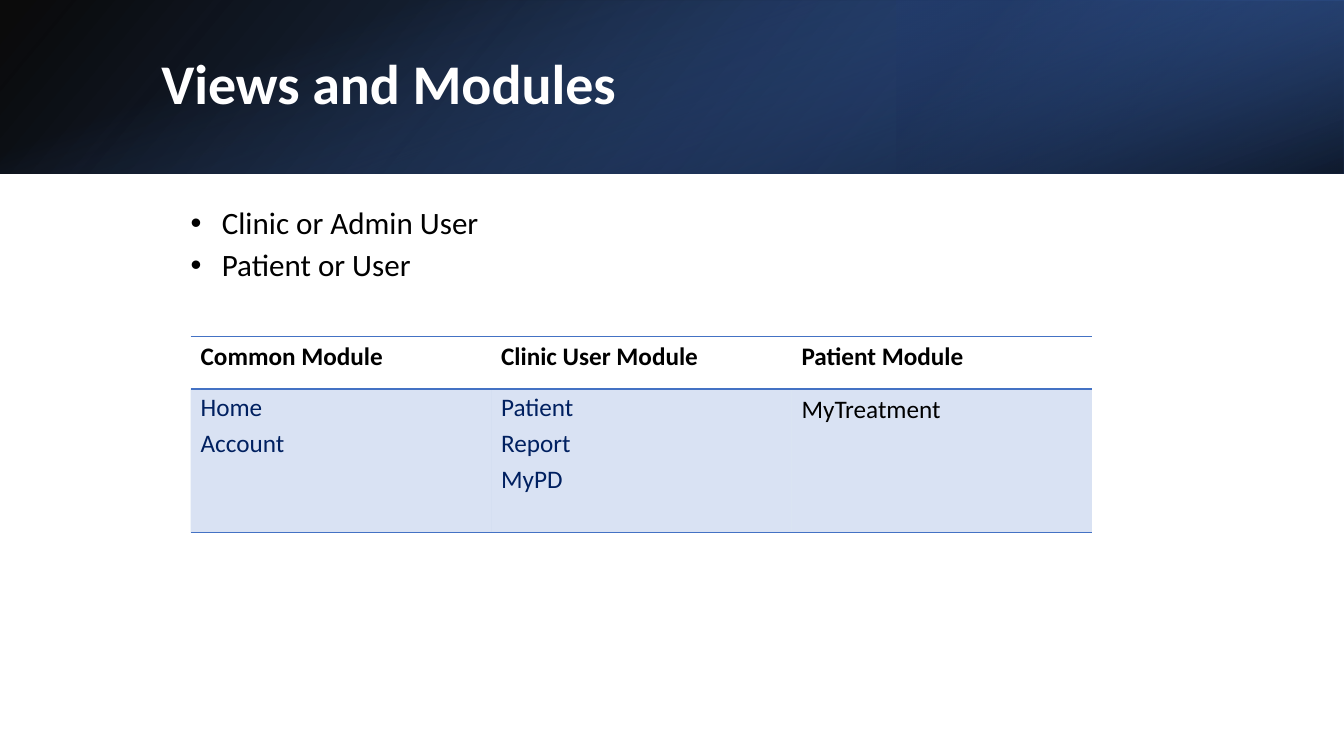
from dataclasses import dataclass
from typing import Any, NamedTuple

from pptx import Presentation
from pptx.dml.color import RGBColor as RGB
from pptx.enum.shapes import MSO_SHAPE as SHAPE
from pptx.enum.text import MSO_ANCHOR as ANCHOR, MSO_AUTO_SIZE as AUTO, PP_ALIGN as ALIGN
from pptx.oxml.ns import qn
from pptx.oxml.xmlchemy import OxmlElement
from pptx.util import Emu, Pt

PX = 9144
NO_STYLE = "{2D5ABB26-0587-4C30-8999-92F81FD0307C}"


@dataclass(frozen=True)
class Theme:
    font: str = "Calibri"
    white: str = "FFFFFF"
    black: str = "000000"
    navy: str = "002060"
    accent: str = "4472C4"
    mid_blue: str = "2F5597"
    deep_blue: str = "203864"
    title_size: float = 40
    list_size: float = 22.2
    table_size: float = 18
    rule: float = 1


T = Theme()


class Box(NamedTuple):
    left: int
    top: int
    width: int
    height: int


class Stop(NamedTuple):
    position: float
    color: str
    alpha: int


class Band(NamedTuple):
    box: Box
    stops: tuple[Stop, Stop]
    angle: int
    rotation: int = 0
    flip: bool = False


class Module(NamedTuple):
    heading: str
    views: list[str]
    color: str
    fmt: dict[str, Any]


SPACED = {"line_spacing": 0.9, "space_before": Pt(0), "space_after": Pt(6)}
PLAIN = {"line_spacing": 1.0, "space_after": Pt(0)}

BANDS = [
    Band(Box(0, 0, 1333, 172), (Stop(0, T.black, 96), Stop(1, T.mid_blue, 100)), 140, flip=True),
    Band(Box(889, 0, 444, 172), (Stop(0.19, T.deep_blue, 68), Stop(1, T.accent, 79)), 320, 180, True),
    Band(Box(580, -580, 172, 1333), (Stop(0.23, T.accent, 0), Stop(0.99, T.black, 74)), 340, 90),
]
MODULES = [
    Module("Common Module", ["Home", "Account"], T.navy, SPACED),
    Module("Clinic User Module", ["Patient", "Report", "MyPD"], T.navy, SPACED),
    Module("Patient Module", ["MyTreatment"], T.black, PLAIN),
]
ROW_HEIGHTS = [52, 142]
TABLE_BOX = Box(189, 334, 894, sum(ROW_HEIGHTS))


def px(n: int) -> Emu:
    return Emu(n * PX)


def apply(target: Any, fmt: dict[str, Any]) -> None:
    for name, value in fmt.items():
        setattr(target, name, value)


def set_alpha(color: Any, percent: int) -> None:
    alpha = OxmlElement("a:alpha")
    alpha.set("val", str(percent * 1000))
    color.append(alpha)


def write(tf: Any, lines: list[str], size: float, color: str, fmt: dict[str, Any], bold: bool = False) -> None:
    for i, line in enumerate(lines):
        p = tf.add_paragraph() if i else tf.paragraphs[0]
        apply(p, {"alignment": ALIGN.LEFT, **fmt})
        r = p.add_run()
        r.text = line
        apply(r.font, {"name": T.font, "size": Pt(size), "bold": bold})
        r.font.color.rgb = RGB.from_string(color)


def place(sp: Any, box: Box, anchor: Any) -> Any:
    apply(sp, {name: px(n) for name, n in box._asdict().items()})
    tf = sp.text_frame
    apply(tf, {"word_wrap": True, "auto_size": AUTO.NONE, "vertical_anchor": anchor})
    return tf


def add_band(s: Any, band: Band, depth: int) -> None:
    sp = s.shapes.add_shape(SHAPE.RECTANGLE, *map(px, band.box))
    sp.shadow.inherit = False
    sp.line.fill.background()
    sp.rotation = band.rotation
    if band.flip:
        sp.element.find(".//" + qn("a:xfrm")).set("flipH", "1")
    sp.fill.gradient()
    sp.fill.gradient_angle = 360 - band.angle
    for target, stop in zip(sp.fill.gradient_stops, band.stops):
        target.position = stop.position
        target.color.rgb = RGB.from_string(stop.color)
    for color, stop in zip(sp.element.iter(qn("a:srgbClr")), band.stops):
        set_alpha(color, stop.alpha)
    s.shapes.element.insert(2 + depth, sp.element)


def add_rules(cell: Any, sides: list[str]) -> None:
    tc_pr = cell._tc.get_or_add_tcPr()
    for i, side in enumerate(sides):
        ln = OxmlElement(f"a:ln{side}")
        ln.set("w", str(Pt(T.rule)))
        fill = OxmlElement("a:solidFill")
        color = OxmlElement("a:srgbClr")
        color.set("val", T.accent)
        fill.append(color)
        ln.append(fill)
        tc_pr.insert(i, ln)


def add_modules(s: Any) -> None:
    frame = s.shapes.add_table(len(ROW_HEIGHTS), len(MODULES), *map(px, TABLE_BOX))
    table = frame.table
    table.horz_banding = False
    frame.element.find(".//" + qn("a:tableStyleId")).text = NO_STYLE
    for row, height in zip(table.rows, ROW_HEIGHTS):
        row.height = px(height)
    for i, module in enumerate(MODULES):
        table.columns[i].width = px(TABLE_BOX.width // len(MODULES))
        head, body = table.cell(0, i), table.cell(1, i)
        write(head.text_frame, [module.heading], T.table_size, T.black, PLAIN, True)
        write(body.text_frame, module.views, T.table_size, module.color, module.fmt)
        head.fill.background()
        body.fill.solid()
        body.fill.fore_color.rgb = RGB.from_string(T.accent)
        set_alpha(body._tc.tcPr.find(".//" + qn("a:srgbClr")), 20)
        add_rules(head, ["T", "B"])
        add_rules(body, ["T", "B"])


def main() -> None:
    prs = Presentation()
    apply(prs, {"slide_width": px(1333), "slide_height": px(750)})
    s = prs.slides.add_slide(prs.slide_layouts[1])
    for depth, band in enumerate(BANDS):
        add_band(s, band, depth)

    tf = place(s.shapes.title, Box(150, 38, 1098, 96), ANCHOR.MIDDLE)
    write(tf, ["Views and Modules"], T.title_size, T.white, SPACED, True)

    tf = place(s.placeholders[1], Box(179, 201, 322, 108), ANCHOR.TOP)
    write(tf, ["Clinic or Admin User", "Patient or User"], T.list_size, T.black, SPACED)
    for p in tf.paragraphs:
        p_pr = p._p.get_or_add_pPr()
        p_pr.set("marL", str(px(31)))
        p_pr.set("indent", str(px(-31)))

    add_modules(s)
    prs.save("out.pptx")


if __name__ == "__main__":
    main()
